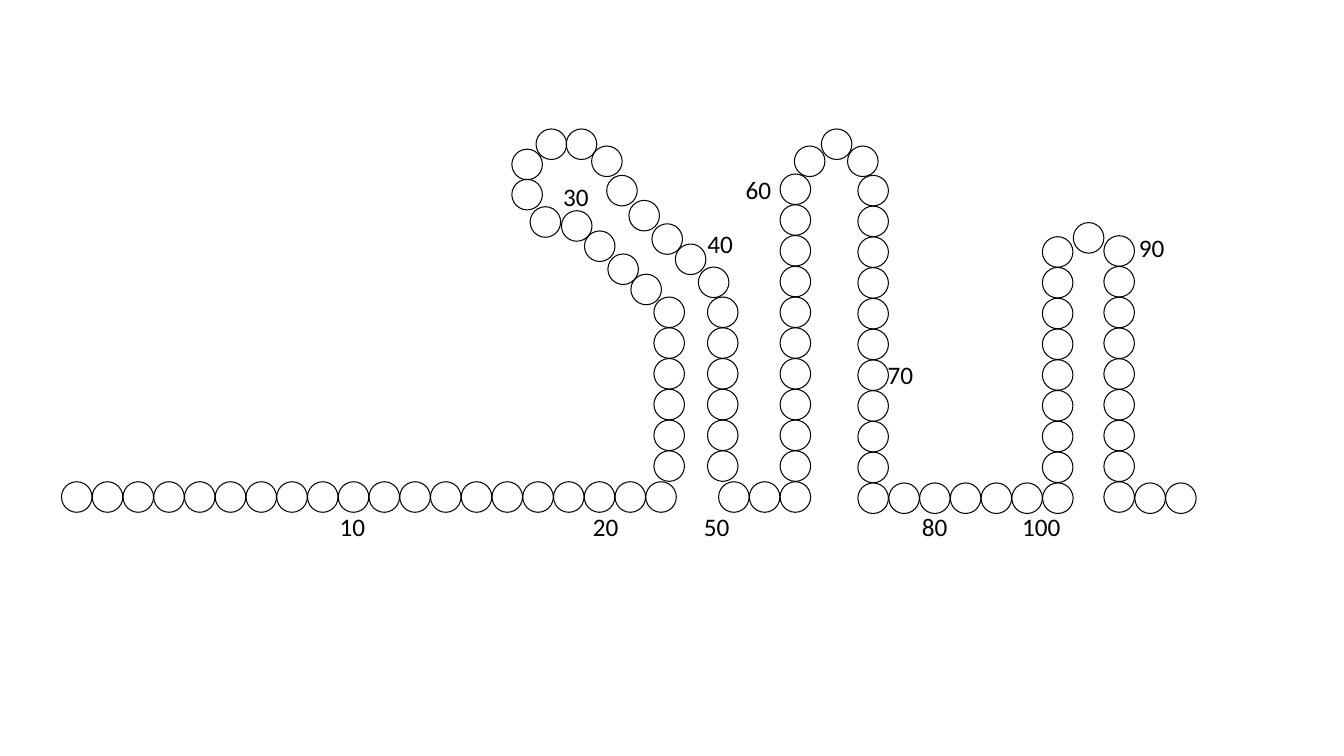
import pptx
import pptx.dml.color
import pptx.enum.shapes
import pptx.enum.text
import pptx.util
from lxml import etree

Cm = pptx.util.Cm

COLOURS = {"ink": "000000"}
SLIDE_WIDTH, SLIDE_HEIGHT = 33.87, 19.05
BEAD = 0.77
PITCH = 0.775
LABEL_WIDTH, LABEL_HEIGHT = 11.28, 1.03

# Left, top and number of beads, running to the right
ROWS = [(1.55, 12.14, 20), (18.11, 12.14, 3), (22.4, 12.17, 6), (28.6, 12.17, 2)]

# Left, top of the lowest bead and number of beads, running upwards
COLUMNS = [
    (16.48, 11.36, 6), (17.83, 11.36, 6), (19.66, 11.36, 10),
    (21.62, 12.17, 11), (26.27, 11.39, 8), (27.82, 12.14, 9),
]

# Left and top of each bead in the curved parts
LOOPS = [
    [(15.9, 6.91), (15.32, 6.4), (14.73, 5.82), (14.15, 5.31), (13.36, 5.21),
     (12.9, 4.52), (12.9, 3.76), (13.51, 3.25), (14.27, 3.25), (14.91, 3.68),
     (15.29, 4.42), (15.85, 5.05), (16.43, 5.64), (17.02, 6.15), (17.6, 6.73)],
    [(20.02, 3.68), (20.7, 3.25), (21.36, 3.68)],
    [(27.05, 5.61)],
]

SIDE_LABELS = [
    ("30", 13.94, 4.45), ("40", 17.58, 5.64), ("60", 18.54, 4.27),
    ("70", 22.12, 8.92), ("90", 28.45, 5.74),
]
BASE_LABELS = ["10", "20", "50", "80", "100"]
BASE_TABS = [6.38, 9.18, 14.67, 17.2]


class BeadChain:
    """Holds the text and line style and the slide being drawn."""

    font_name = "Calibri"
    font_size = pptx.util.Pt(18)
    ink = pptx.dml.color.RGBColor.from_string(COLOURS["ink"])

    def __init__(self, slide):
        self.slide = slide

    def bead(self, left, top):
        circle = self.slide.shapes.add_shape(
            pptx.enum.shapes.MSO_SHAPE.OVAL, Cm(left), Cm(top), Cm(BEAD), Cm(BEAD))
        circle.shadow.inherit = False
        circle.fill.background()
        circle.line.color.rgb = self.ink
        circle.line.width = pptx.util.Pt(0)

    def run(self, left, top, count, step_x=0, step_y=0):
        """Draw evenly spaced beads in a straight line."""
        for index in range(count):
            self.bead(left + index * step_x, top + index * step_y)

    def label(self, text, left, top, width=LABEL_WIDTH, tabs=()):
        """Write one line of text; tabs are distances in cm from the text edge."""
        width = min(width, SLIDE_WIDTH - left)
        box = self.slide.shapes.add_textbox(Cm(left), Cm(top), Cm(width), Cm(LABEL_HEIGHT))
        frame = box.text_frame
        frame.word_wrap = True
        frame.auto_size = pptx.enum.text.MSO_AUTO_SIZE.SHAPE_TO_FIT_TEXT
        para = frame.paragraphs[0]
        para.text = text
        para.font.name = self.font_name
        para.font.size = self.font_size
        para.font.color.rgb = self.ink
        if tabs:
            tab_list = etree.Element(pptx.oxml.ns.qn("a:tabLst"))
            for position in tabs:
                etree.SubElement(tab_list, pptx.oxml.ns.qn("a:tab"),
                                 pos=str(int(Cm(position))), algn="l")
            # Tab stops come before the default run properties
            para._p.get_or_add_pPr().insert(0, tab_list)


def main():
    deck = pptx.Presentation()
    deck.slide_width, deck.slide_height = Cm(SLIDE_WIDTH), Cm(SLIDE_HEIGHT)
    blank_layout = deck.slide_layouts[6]
    chain = BeadChain(deck.slides.add_slide(blank_layout))

    for left, top, count in ROWS:
        chain.run(left, top, count, step_x=PITCH)
    for left, top, count in COLUMNS:
        chain.run(left, top, count, step_y=-PITCH)
    for loop in LOOPS:
        for left, top in loop:
            chain.bead(left, top)

    chain.label("\t".join(BASE_LABELS), 8.31, 12.75, width=23.75, tabs=BASE_TABS)
    for text, left, top in SIDE_LABELS:
        chain.label(text, left, top)

    deck.save("out.pptx")


if __name__ == "__main__":
    main()
